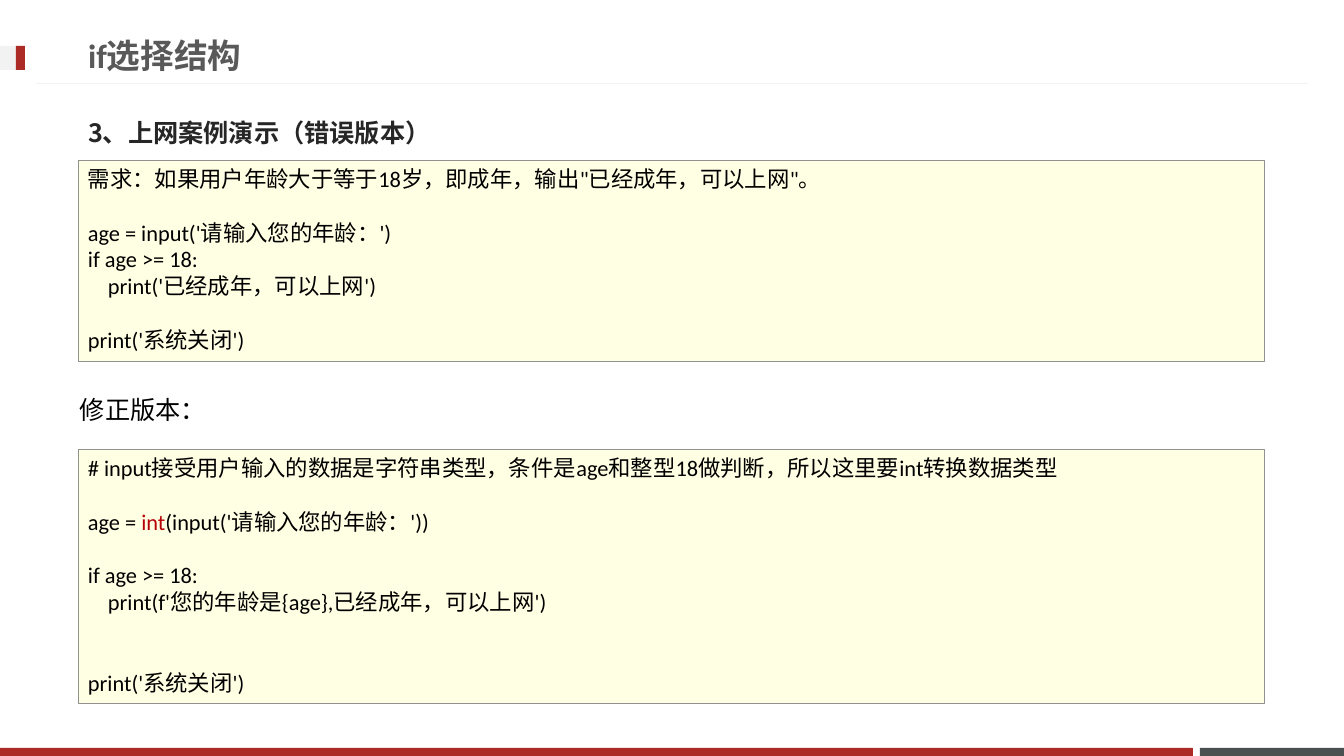
"""Build the slide on the if selection structure, with a faulty and a corrected example."""
import pptx
import pptx.dml.color
import pptx.enum.shapes
import pptx.enum.text
import pptx.oxml.ns
import pptx.util
from lxml import etree

PX = 914400 / 100.8
LATIN = "Calibri"
CJK = "Noto Sans CJK JP"
RED, BLACK, PALE_GREY = "AD2B26", "000000", "F2F2F2"
CODE_SIZE, CODE_PITCH = 16, 19.2
CODE_INDENT = 20

FAULTY_CODE = [
    (0, 0, [("需求：如果用户年龄大于等于18岁，即成年，输出\"已经成年，可以上网\"。", BLACK)]),
    (1, 0, [("age = input('请输入您的年龄：')", BLACK)]),
    (0, 0, [("if age >= 18:", BLACK)]),
    (0, 1, [("print('已经成年，可以上网')", BLACK)]),
    (1, 0, [("print('系统关闭')", BLACK)]),
]
CORRECTED_CODE = [
    (0, 0, [("# input接受用户输入的数据是字符串类型，条件是age和整型18做判断，所以这里要int转换数据类型", BLACK)]),
    (1, 0, [("age = ", BLACK), ("int", "B60206"), ("(input('请输入您的年龄：'))", BLACK)]),
    (1, 0, [("if age >= 18:", BLACK)]),
    (0, 1, [("print(f'您的年龄是{age},已经成年，可以上网')", BLACK)]),
    (2, 0, [("print('系统关闭')", BLACK)]),
]


def px(length):
    return pptx.util.Emu(round(length * PX))


def rgb(code):
    return pptx.dml.color.RGBColor.from_string(code)


def style_run(run, size, color, font=LATIN, bold=False):
    run.font.size = pptx.util.Pt(size)
    run.font.name = font
    run.font.bold = bold
    run.font.color.rgb = rgb(color)


def add_bar(slide, left, top, width, height, fill, border=None):
    bar = slide.shapes.add_shape(
        pptx.enum.shapes.MSO_SHAPE.RECTANGLE, px(left), px(top), px(width), px(height))
    bar.shadow.inherit = False
    bar.fill.solid()
    bar.fill.fore_color.rgb = rgb(fill)
    if border:
        bar.line.color.rgb = rgb(border)
        bar.line.width = pptx.util.Pt(0.25)
    else:
        bar.line.fill.background()
    return bar


def add_rule(slide, left, right, y):
    rule = slide.shapes.add_connector(
        pptx.enum.shapes.MSO_CONNECTOR.STRAIGHT, px(right), px(y), px(left), px(y))
    rule.line.color.rgb = rgb(PALE_GREY)
    rule.line.width = pptx.util.Pt(0.75)
    etree.SubElement(rule._element.spPr, pptx.oxml.ns.qn("a:effectLst"))


def fill_placeholder(holder, text, box, size, color, font):
    holder.left, holder.top, holder.width, holder.height = map(px, box)
    frame = holder.text_frame
    frame.text = text
    frame.auto_size = pptx.enum.text.MSO_AUTO_SIZE.NONE
    frame.vertical_anchor = pptx.enum.text.MSO_ANCHOR.MIDDLE
    heading = frame.paragraphs[0]
    heading.alignment = pptx.enum.text.PP_ALIGN.LEFT
    heading.space_before = pptx.util.Pt(0)
    style_run(heading.runs[0], size, color, font, bold=True)
    return heading


def remove_bullet(paragraph):
    properties = paragraph._p.get_or_add_pPr()
    properties.set("marL", "0")
    properties.set("indent", "0")
    etree.SubElement(properties, pptx.oxml.ns.qn("a:buNone"))


def add_code(slide, top, height, code):
    frame = add_bar(slide, 78, top, 1186, height, "FFFFE4", "919191").text_frame
    frame.word_wrap = True
    frame.vertical_anchor = pptx.enum.text.MSO_ANCHOR.TOP
    for number, (gap, depth, parts) in enumerate(code):
        line = frame.add_paragraph() if number else frame.paragraphs[0]
        line.alignment = pptx.enum.text.PP_ALIGN.LEFT
        line.space_before = pptx.util.Pt(gap * CODE_PITCH)
        line._p.get_or_add_pPr().set("marL", str(px(depth * CODE_INDENT)))
        for text, color in parts:
            run = line.add_run()
            run.text = text
            style_run(run, CODE_SIZE, color)


def add_label(slide, text, left, top, width, height):
    label = slide.shapes.add_textbox(px(left), px(top), px(width), px(height))
    label.text_frame.word_wrap = False
    label.text_frame.text = text
    style_run(label.text_frame.paragraphs[0].runs[0], 18, BLACK)


def add_frame(slide):
    add_bar(slide, 1200, 748, 144, 8, "49504F")
    add_bar(slide, 0, 748, 1193, 8, RED)
    add_rule(slide, 36, 1308, 84)
    add_bar(slide, 0, 46, 25, 24, PALE_GREY)
    add_bar(slide, 16, 46, 9, 24, RED)


def main():
    deck = pptx.Presentation()
    deck.slide_width, deck.slide_height = px(1344), px(756)
    slide = deck.slides.add_slide(deck.slide_layouts[1])
    add_frame(slide)
    fill_placeholder(slide.shapes.title, "if选择结构", (78, 27, 967, 57), 24, "595959", LATIN)
    subtitle = fill_placeholder(slide.placeholders[1], "3、上网案例演示（错误版本）",
                                (78, 104, 1186, 57), 18, "262626", CJK)
    remove_bullet(subtitle)
    add_code(slide, 160, 201, FAULTY_CODE)
    add_code(slide, 449, 254, CORRECTED_CODE)
    add_label(slide, "修正版本：", 70, 389, 147, 40)
    deck.save("out.pptx")


if __name__ == "__main__":
    main()
